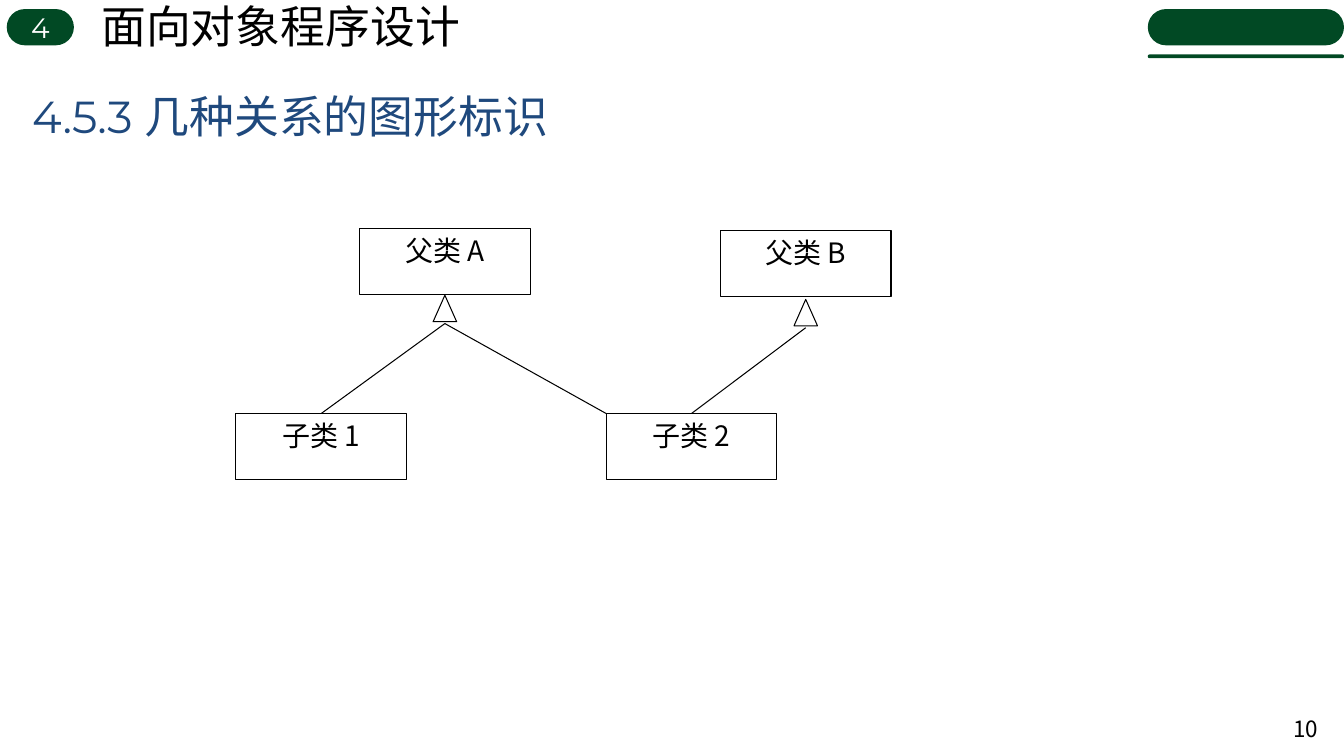
import pptx
import pptx.util
import pptx.dml.color
import pptx.enum.shapes
import pptx.enum.text
import pptx.oxml
import pptx.oxml.ns
from dataclasses import dataclass

Kind = pptx.enum.shapes.MSO_SHAPE
Align = pptx.enum.text.PP_ALIGN
Anchor = pptx.enum.text.MSO_ANCHOR
Pt = pptx.util.Pt


@dataclass
class Theme:
    green: str = "014924"
    blue: str = "1F497D"
    black: str = "000000"
    white: str = "FFFFFF"
    head: int = 32
    body: int = 20
    small: int = 16
    line: float = 0.75
    title: str = "Montserrat"
    plain: str = "Arial"
    han: str = "Noto Sans CJK SC"


class Deck:
    """Draws on one slide; lengths are columns and rows of a 100 by 100 grid."""

    def __init__(self, theme):
        self.theme = theme
        self.file = pptx.Presentation()
        self.file.slide_width = pptx.util.Inches(13.33)
        self.file.slide_height = pptx.util.Inches(7.5)
        self.slide = self.file.slides.add_slide(self.file.slide_layouts[6])

    def grid(self, *spots):
        """Turn alternating columns and rows into slide lengths."""
        sides = self.file.slide_width, self.file.slide_height
        return [round(spot * sides[i % 2] / 100) for i, spot in enumerate(spots)]

    def color(self, code):
        return pptx.dml.color.RGBColor.from_string(code)

    def label(self, shape, text, size, font, color, align=Align.LEFT,
              anchor=Anchor.TOP, wrap=True):
        frame = shape.text_frame
        frame.word_wrap = wrap
        frame.vertical_anchor = anchor
        para = frame.paragraphs[0]
        para.alignment = align
        run = para.add_run()
        run.text = text
        run.font.size = Pt(size)
        run.font.name = font
        run.font.color.rgb = self.color(color)
        east = pptx.oxml.parse_xml(
            f'<a:ea {pptx.oxml.ns.nsdecls("a")} typeface="{self.theme.han}"/>')
        run.font._element.find(pptx.oxml.ns.qn("a:latin")).addnext(east)
        return para

    def text(self, spot, *args, **style):
        box = self.slide.shapes.add_textbox(*self.grid(*spot))
        return self.label(box, *args, **style)

    def pill(self, *spot):
        shape = self.slide.shapes.add_shape(Kind.ROUNDED_RECTANGLE, *self.grid(*spot))
        shape.adjustments[0] = 0.5
        shape.shadow.inherit = False
        shape.fill.solid()
        shape.fill.fore_color.rgb = self.color(self.theme.green)
        shape.line.fill.background()
        return shape

    def ink(self, item):
        item.line.color.rgb = self.color(self.theme.black)
        item.line.width = Pt(self.theme.line)

    def hollow(self, kind, *spot):
        shape = self.slide.shapes.add_shape(kind, *self.grid(*spot))
        shape.shadow.inherit = False
        shape.fill.background()
        self.ink(shape)
        return shape

    def node(self, name, left, top):
        box = self.hollow(Kind.RECTANGLE, left, top, 12.7, 8.7)
        self.label(box, name, self.theme.body, self.theme.han,
                   self.theme.black, Align.CENTER)
        return box

    def head(self, mid, top):
        """Add a hollow arrowhead and return the point where its lines meet."""
        wide, high = 1.75, 3.5
        self.hollow(Kind.ISOSCELES_TRIANGLE, mid - wide / 2, top, wide, high)
        return mid, top + high + 0.25

    def link(self, start, end, child=None):
        line = self.slide.shapes.add_connector(
            pptx.enum.shapes.MSO_CONNECTOR.STRAIGHT, *self.grid(*start, *end))
        self.ink(line)
        line._element.spPr.append(pptx.oxml.parse_xml(
            f'<a:effectLst {pptx.oxml.ns.nsdecls("a")}/>'))
        if child is not None:
            line.end_connect(child, 0)


def main():
    look = Theme()
    deck = Deck(look)

    badge = deck.pill(0.5, 1.2, 5, 4.8)
    deck.label(badge, "4", look.body, look.title, look.white,
               Align.CENTER, Anchor.MIDDLE)
    deck.text((6.8, -0.8, 28.4, 8.5), "面向对象程序设计",
              look.head, look.plain, look.black, wrap=False)
    for top, high in ((1.2, 4.8), (7.2, 0.5)):
        deck.pill(85.4, top, 14.6, high)
    deck.text((95.1, 93.7, 3.7, 5.3), "10", look.small, look.han, look.black,
              align=Align.RIGHT, anchor=Anchor.MIDDLE)
    title = deck.text((1.65, 11.5, 46.9, 8.5), "4.5.3 几种关系的图形标识",
                      look.head, look.title, look.blue, anchor=Anchor.MIDDLE)
    title.line_spacing = 0.9

    deck.node("父类 A", 26.75, 30.2)
    deck.node("父类 B", 53.6, 30.5)
    low = 54.7
    one = deck.node("子类 1", 17.55, low)
    two = deck.node("子类 2", 45.1, low)

    left = deck.head(33.1, 39.05)
    right = deck.head(59.95, 39.6)
    deck.link(left, (45.1, low))
    deck.link(left, (23.9, low), one)
    deck.link(right, (51.45, low), two)

    deck.file.save("out.pptx")


if __name__ == "__main__":
    main()
